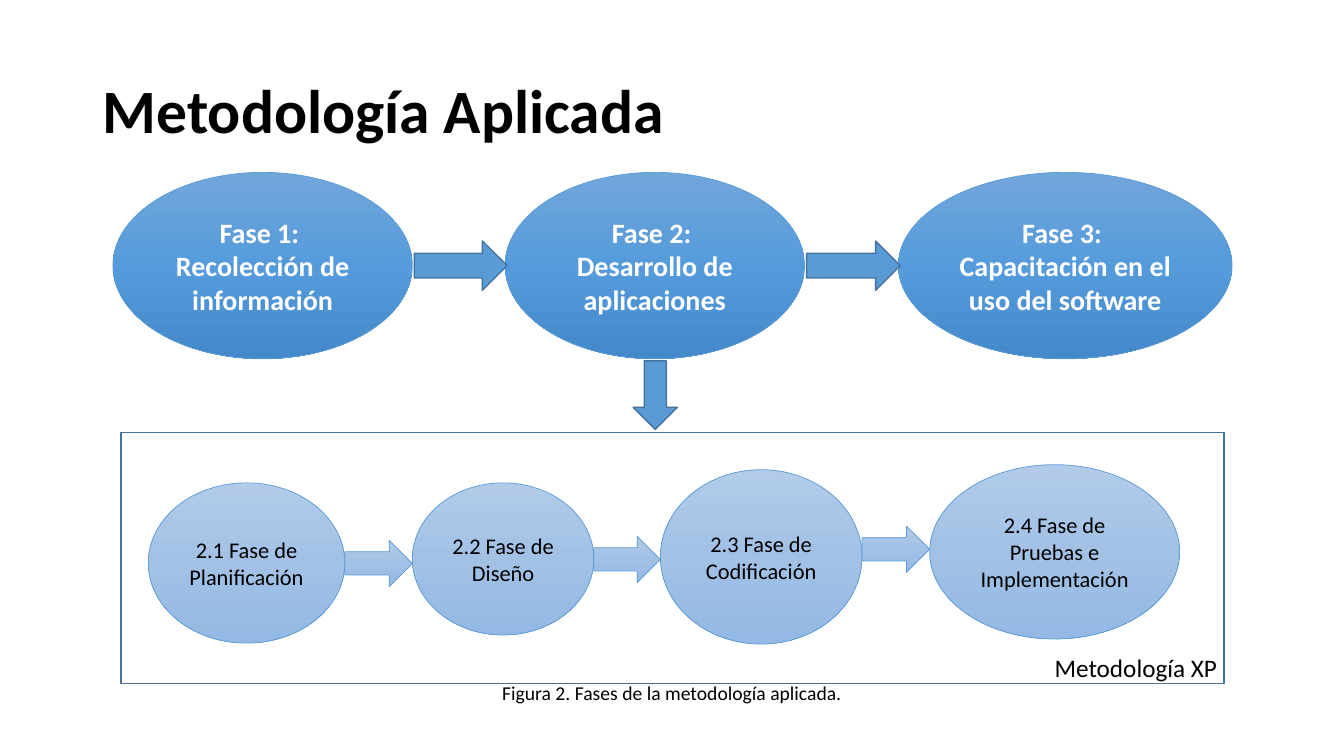
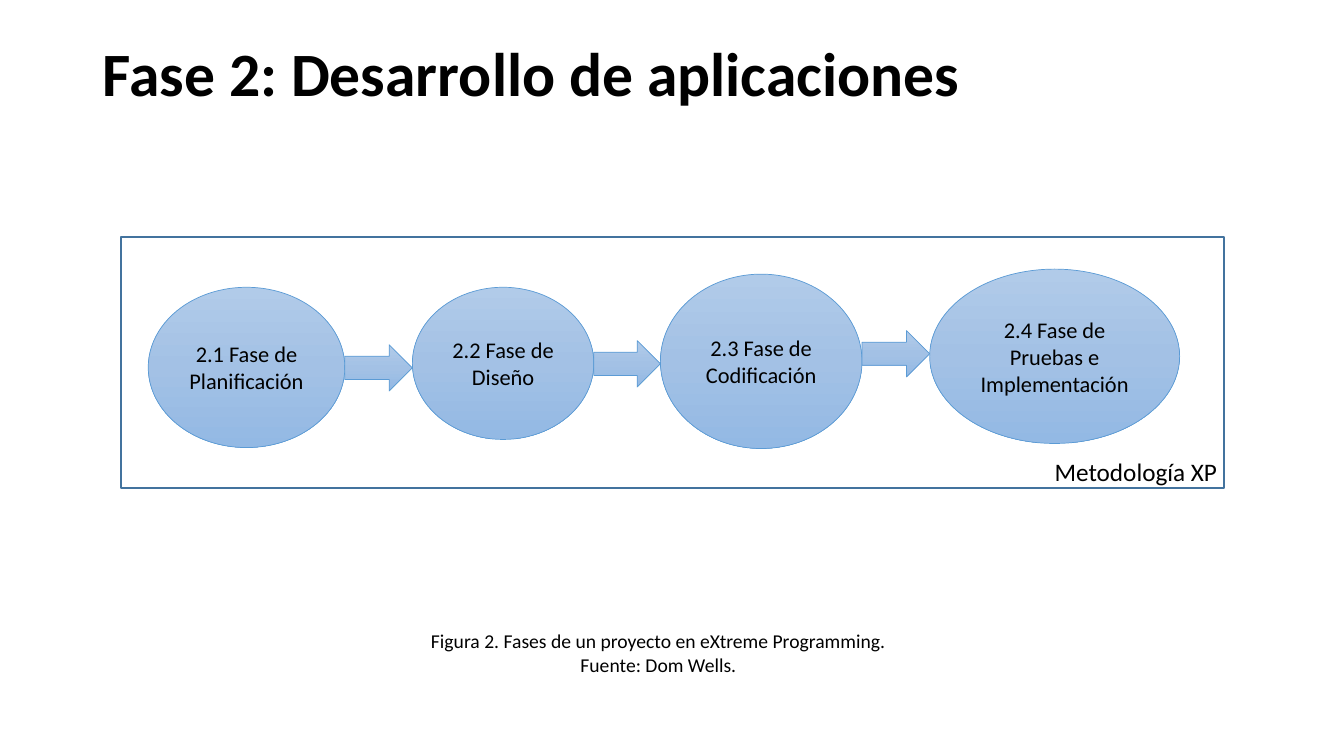
from copy import deepcopy
from itertools import pairwise

from pptx import Presentation
from pptx.dml.color import RGBColor
from pptx.enum.shapes import MSO_SHAPE as Preset
from pptx.enum.text import MSO_ANCHOR as Anchor, PP_ALIGN as Align
from pptx.oxml.ns import qn
from pptx.util import Inches, Pt

BLACK, WHITE = "000000", "FFFFFF"
BLUE, DARK_BLUE = "5B9BD5", "43739E"
STRONG = {"fill": ["71A6DB", "559BDB", "448ACA"], "line": BLUE, "weight": 0.5}
SOFT = {"fill": ["B1CBE9", "A3C1E5", "93B9E4"], "line": BLUE, "weight": 0.5}
SOLID = {"fill": [BLUE], "line": DARK_BLUE, "weight": 1}
OUTLINE = {"fill": [], "line": DARK_BLUE, "weight": 1}

PHASES = [
    (1.12, 2.97, ["Fase 1: ", "Recolección de información"]),
    (5.01, 2.97, ["Fase 2: ", "Desarrollo de aplicaciones"]),
    (8.91, 3.31, ["Fase 3: ", "Capacitación en el uso del software"]),
]
STEPS = [
    (1.47, 0.5, 1.95, 1.59, "2.1 Fase de Planificación"),
    (4.09, 0.5, 1.8, 1.51, "2.2 Fase de Diseño"),
    (6.55, 0.37, 2, 1.73, "2.3 Fase de Codificación"),
    (9.22, 0.32, 2.48, 1.73, "2.4 Fase de Pruebas e Implementación"),
]
STEP_ARROW_TOPS = [1.07, 1.03, 0.93]


def color(value):
    return RGBColor.from_string(value)


class Painter:
    font = "Calibri"

    def __init__(self, deck):
        self.deck = deck
        self.shapes = None

    def start_slide(self):
        page = self.deck.slides.add_slide(self.deck.slide_layouts[6])
        self.shapes = page.shapes

    def fill_text(self, frame, lines, size, ink=BLACK, bold=False,
                  align=Align.CENTER, anchor=Anchor.MIDDLE, spacing=1.0):
        frame.word_wrap = True
        frame.vertical_anchor = anchor
        for index, line in enumerate(lines):
            para = frame.paragraphs[0] if index == 0 else frame.add_paragraph()
            para.alignment = align
            para.line_spacing = spacing
            span = para.add_run()
            span.text = line
            values = {"name": self.font, "size": Pt(size), "bold": bold}
            for name, value in values.items():
                setattr(span.font, name, value)
            span.font.color.rgb = color(ink)

    def text(self, left, top, width, height, lines, size, **style):
        box = self.shapes.add_textbox(*map(Inches, (left, top, width, height)))
        self.fill_text(box.text_frame, lines, size, **style)

    def title(self, wording, top=0.4):
        self.text(0.92, top, 11.5, 1.45, [wording], 44, bold=True,
                  align=Align.LEFT, spacing=0.9)

    def caption(self, left, top, width, height, lines):
        self.text(left, top, width, height, lines, 14, anchor=Anchor.TOP)

    def paint(self, shape, colors):
        if not colors:
            shape.fill.background()
        elif len(colors) == 1:
            shape.fill.solid()
            shape.fill.fore_color.rgb = color(colors[0])
        else:
            shape.fill.gradient()
            shape.fill.gradient_angle = 270
            stops = shape.element.spPr.find(".//" + qn("a:gsLst"))
            stops.append(deepcopy(stops[0]))
            for index, stop in enumerate(shape.fill.gradient_stops):
                stop.position = index / 2
                stop.color.rgb = color(colors[index])

    def shape(self, preset, left, top, width, height, look):
        shape = self.shapes.add_shape(
            preset, *map(Inches, (left, top, width, height)))
        shape.shadow.inherit = False
        self.paint(shape, look["fill"])
        shape.line.color.rgb = color(look["line"])
        shape.line.width = Pt(look["weight"])
        return shape

    def oval(self, left, top, width, height, look, lines, size, **style):
        oval = self.shape(Preset.OVAL, left, top, width, height, look)
        self.fill_text(oval.text_frame, lines, size, **style)

    def phases(self, top):
        for left, width, lines in PHASES:
            self.oval(left, top, width, 1.85, STRONG, lines, 20,
                      ink=WHITE, bold=True)
        for (left, width, _), (following, _, _) in pairwise(PHASES):
            start = left + width
            self.shape(Preset.RIGHT_ARROW, start + 0.02, top + 0.68,
                       following - start, 0.49, SOLID)
        self.shape(Preset.DOWN_ARROW, 6.28, top + 1.87, 0.44, 0.68, SOLID)

    def process(self, top):
        page_shapes = self.shapes
        self.shapes = page_shapes.add_group_shape().shapes
        for left, offset, width, height, wording in STEPS:
            self.oval(left, top + offset, width, height, SOFT, [wording], 16)
        for (step, following), offset in zip(pairwise(STEPS), STEP_ARROW_TOPS):
            start = step[0] + step[2]
            self.shape(Preset.RIGHT_ARROW, start, top + offset,
                       following[0] - start, 0.46, SOFT)
        self.shape(Preset.RECTANGLE, 1.2, top, 10.94, 2.49, OUTLINE)
        self.shapes = page_shapes
        self.text(8.49, top + 2.13, 3.68, 0.4, ["Metodología XP"], 18,
                  align=Align.RIGHT, anchor=Anchor.TOP)


def main():
    deck = Presentation()
    deck.slide_width, deck.slide_height = Inches(13.33), Inches(7.5)
    painter = Painter(deck)

    painter.start_slide()
    painter.title("Metodología Aplicada")
    painter.phases(1.71)
    painter.process(4.29)
    painter.caption(3.33, 6.71, 6.67, 0.34,
                    ["Figura 2. Fases de la metodología aplicada."])

    painter.start_slide()
    painter.title("Fase 2: Desarrollo de aplicaciones", top=0.03)
    painter.caption(2.82, 6.19, 7.42, 0.57,
                    ["Figura 2. Fases de un proyecto en eXtreme Programming.",
                     "Fuente: Dom Wells."])
    painter.process(2.35)

    deck.save("out.pptx")


if __name__ == "__main__":
    main()
